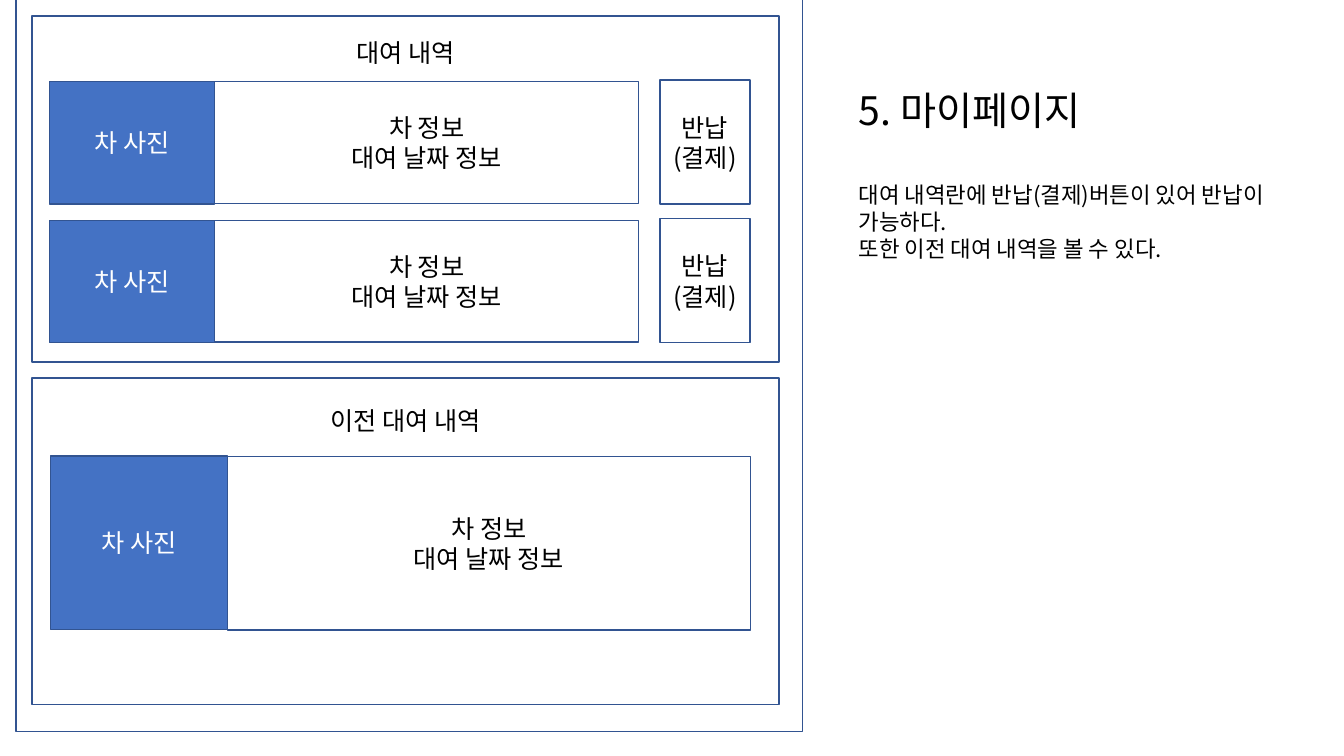
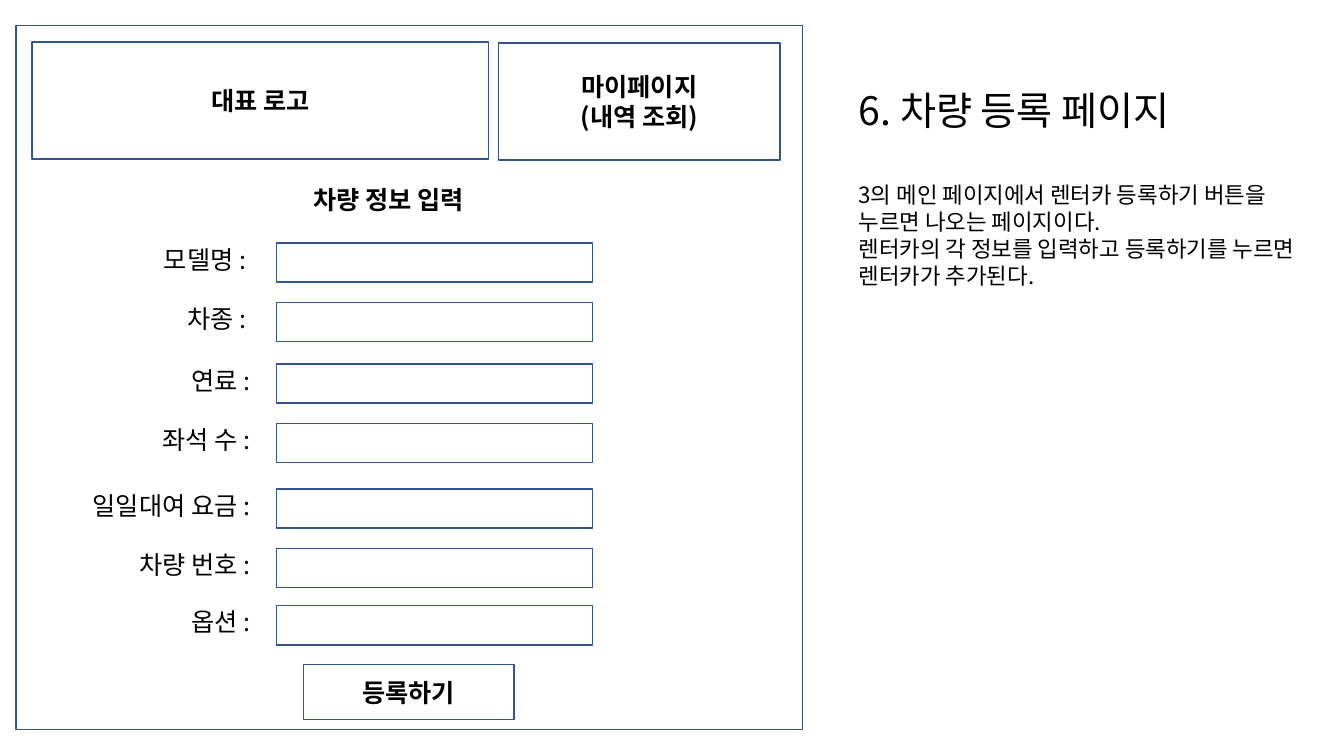
from dataclasses import dataclass
from typing import NamedTuple

from lxml.etree import SubElement
from pptx import Presentation
from pptx.dml.color import RGBColor
from pptx.enum.shapes import MSO_SHAPE as Preset
from pptx.enum.text import MSO_ANCHOR as Anchor
from pptx.enum.text import MSO_AUTO_SIZE as AutoSize
from pptx.enum.text import PP_ALIGN as Align
from pptx.oxml.ns import qn
from pptx.slide import Slide
from pptx.text.text import TextFrame
from pptx.util import Pt


@dataclass(frozen=True)
class Theme:
    font: str = "Noto Sans CJK KR"
    ink: RGBColor = RGBColor(0x00, 0x00, 0x00)
    paper: RGBColor = RGBColor(0xFF, 0xFF, 0xFF)
    accent: RGBColor = RGBColor(0x44, 0x72, 0xC4)
    outline: RGBColor = RGBColor(0x32, 0x54, 0x91)
    outline_width: float = 1
    title_size: float = 28
    note_size: float = 16
    label_size: float = 18
    leading: float = 1.2


THEME = Theme()


class Area(NamedTuple):
    left: float
    top: float
    width: float
    height: float

    def lengths(self) -> tuple:
        return tuple(Pt(value) for value in self)


@dataclass(frozen=True)
class TextStyle:
    size: float = THEME.label_size
    color: RGBColor = THEME.ink
    bold: bool = False
    align: Align = Align.CENTER
    anchor: Anchor = Anchor.MIDDLE
    wrap: bool = True
    inset_top: float = 3.6


@dataclass(frozen=True)
class Box:
    area: Area
    lines: tuple[str, ...] = ()
    style: TextStyle = TextStyle()
    filled: bool = False


@dataclass(frozen=True)
class Field:
    label: str
    top: float
    label_right: float


PLAIN = TextStyle()
BOLD = TextStyle(bold=True)
ON_ACCENT = TextStyle(color=THEME.paper)
TITLE = TextStyle(size=THEME.title_size, align=Align.LEFT, anchor=Anchor.TOP)
NOTE = TextStyle(size=THEME.note_size, align=Align.LEFT, anchor=Anchor.TOP)
FORM_TITLE = TextStyle(bold=True, align=Align.LEFT, anchor=Anchor.TOP, wrap=False)
FIELD_LABEL = TextStyle(align=Align.RIGHT)

TITLE_AREA = Area(606.2, 58.3, 342, 44)
NOTE_AREA = Area(606.2, 125.8, 342, 90)
FRAME_LEFT, FRAME_WIDTH = 11.5, 561.6
PANEL_LEFT, PANEL_WIDTH = 23, 533.5
FIELD_LEFT, FIELD_WIDTH, FIELD_HEIGHT = 197.3, 226, 28
LABEL_WIDTH, LABEL_RISE = 150, 2.5

PHOTO = ("차 사진",)
CAR_INFO = ("차 정보", "대여 날짜 정보")
RETURN_BUTTON = ("반납(결제)",)

FIELDS = (
    Field("모델명 :", 173.5, 182.9),
    Field("차종 :", 216, 182.9),
    Field("연료 :", 260, 185.8),
    Field("좌석 수 :", 302.4, 185.8),
    Field("일일대여 요금 :", 349.2, 185.8),
    Field("차량 번호 :", 391.7, 185.8),
    Field("옵션 :", 432.7, 185.8),
)


def set_values(target: object, values: dict) -> None:
    for name, value in values.items():
        setattr(target, name, value)


def write_text(frame: TextFrame, lines: tuple[str, ...], style: TextStyle) -> None:
    set_values(frame, {
        "auto_size": AutoSize.NONE,
        "word_wrap": style.wrap,
        "vertical_anchor": style.anchor,
        "margin_left": Pt(7.2),
        "margin_right": Pt(7.2),
        "margin_top": Pt(style.inset_top),
        "margin_bottom": Pt(3.6),
    })
    for index, line in enumerate(lines):
        para = frame.add_paragraph() if index else frame.paragraphs[0]
        set_values(para, {
            "alignment": style.align,
            "line_spacing": Pt(style.size * THEME.leading),
            "space_before": Pt(0),
            "space_after": Pt(0),
        })
        span = para.add_run()
        span.text = line
        set_values(span.font, {
            "name": THEME.font,
            "size": Pt(style.size),
            "bold": style.bold,
        })
        span.font.color.rgb = style.color
        SubElement(span._r.get_or_add_rPr(), qn("a:ea"), typeface=THEME.font)


def draw_box(page: Slide, box: Box) -> None:
    shape = page.shapes.add_shape(Preset.RECTANGLE, *box.area.lengths())
    shape.shadow.inherit = False
    if box.filled:
        shape.fill.solid()
        shape.fill.fore_color.rgb = THEME.accent
    else:
        shape.fill.background()
    shape.line.color.rgb = THEME.outline
    shape.line.width = Pt(THEME.outline_width)
    write_text(shape.text_frame, box.lines, box.style)


def draw_text(page: Slide, area: Area, lines: tuple[str, ...], style: TextStyle) -> None:
    box = page.shapes.add_textbox(*area.lengths())
    write_text(box.text_frame, lines, style)


def draw_frame(page: Slide, top: float, height: float) -> None:
    draw_box(page, Box(Area(FRAME_LEFT, top, FRAME_WIDTH, height)))


def draw_panel(page: Slide, top: float, height: float, heading: str, inset: float) -> None:
    style = TextStyle(anchor=Anchor.TOP, inset_top=inset)
    draw_box(page, Box(Area(PANEL_LEFT, top, PANEL_WIDTH, height), (heading,), style))


def draw_car(page: Slide, photo: Area, info: Area) -> None:
    draw_box(page, Box(photo, PHOTO, ON_ACCENT, filled=True))
    draw_box(page, Box(info, CAR_INFO))


def add_page(deck: Presentation, title: str, notes: tuple[str, ...]) -> Slide:
    page = deck.slides.add_slide(deck.slide_layouts[5])
    heading = page.shapes.title
    names = ("left", "top", "width", "height")
    set_values(heading, dict(zip(names, TITLE_AREA.lengths())))
    write_text(heading.text_frame, (title,), TITLE)
    draw_text(page, NOTE_AREA, notes, NOTE)
    return page


def add_my_page(deck: Presentation) -> None:
    page = add_page(deck, "5. 마이페이지", (
        "대여 내역란에 반납(결제)버튼이 있어 반납이 가능하다.",
        "또한 이전 대여 내역을 볼 수 있다.",
    ))
    draw_frame(page, -21.6, 544.3)
    draw_panel(page, 11.5, 247, "대여 내역", 15.5)
    draw_panel(page, 270, 233.3, "이전 대여 내역", 19.2)
    for top in (58.3, 157.3):
        draw_car(page, Area(35.3, top, 118.1, 87.4), Area(153.4, top, 302.8, 87.1))
        draw_box(page, Box(Area(471.4, top - 1, 64.3, 88.6), RETURN_BUTTON))
    draw_car(page, Area(36, 325.7, 126.5, 124), Area(162.5, 326, 373.5, 124))


def add_car_form(deck: Presentation) -> None:
    page = add_page(deck, "6. 차량 등록 페이지", (
        "3의 메인 페이지에서 렌터카 등록하기 버튼을 누르면 나오는 페이지이다.",
        "렌터카의 각 정보를 입력하고 등록하기를 누르면 렌터카가 추가된다.",
    ))
    draw_frame(page, 18, 503.3)
    draw_box(page, Box(Area(PANEL_LEFT, 30, 326.2, 83.5), ("대표 로고",), BOLD))
    draw_box(page, Box(Area(356.2, 30.8, 200.9, 83.5), ("마이페이지", "(내역 조회)"), BOLD))
    draw_text(page, Area(216.7, 128.2, 136.8, 29), ("차량 정보 입력",), FORM_TITLE)
    for field in FIELDS:
        label_left = field.label_right - LABEL_WIDTH
        label = Area(label_left, field.top - LABEL_RISE, LABEL_WIDTH, FIELD_HEIGHT)
        draw_text(page, label, (field.label,), FIELD_LABEL)
        draw_box(page, Box(Area(FIELD_LEFT, field.top, FIELD_WIDTH, FIELD_HEIGHT)))
    draw_box(page, Box(Area(216.7, 474.5, 150.5, 39.6), ("등록하기",), BOLD))


def main() -> None:
    deck = Presentation()
    set_values(deck, {"slide_width": Pt(960), "slide_height": Pt(540)})
    add_my_page(deck)
    add_car_form(deck)
    deck.save("out.pptx")


if __name__ == "__main__":
    main()
